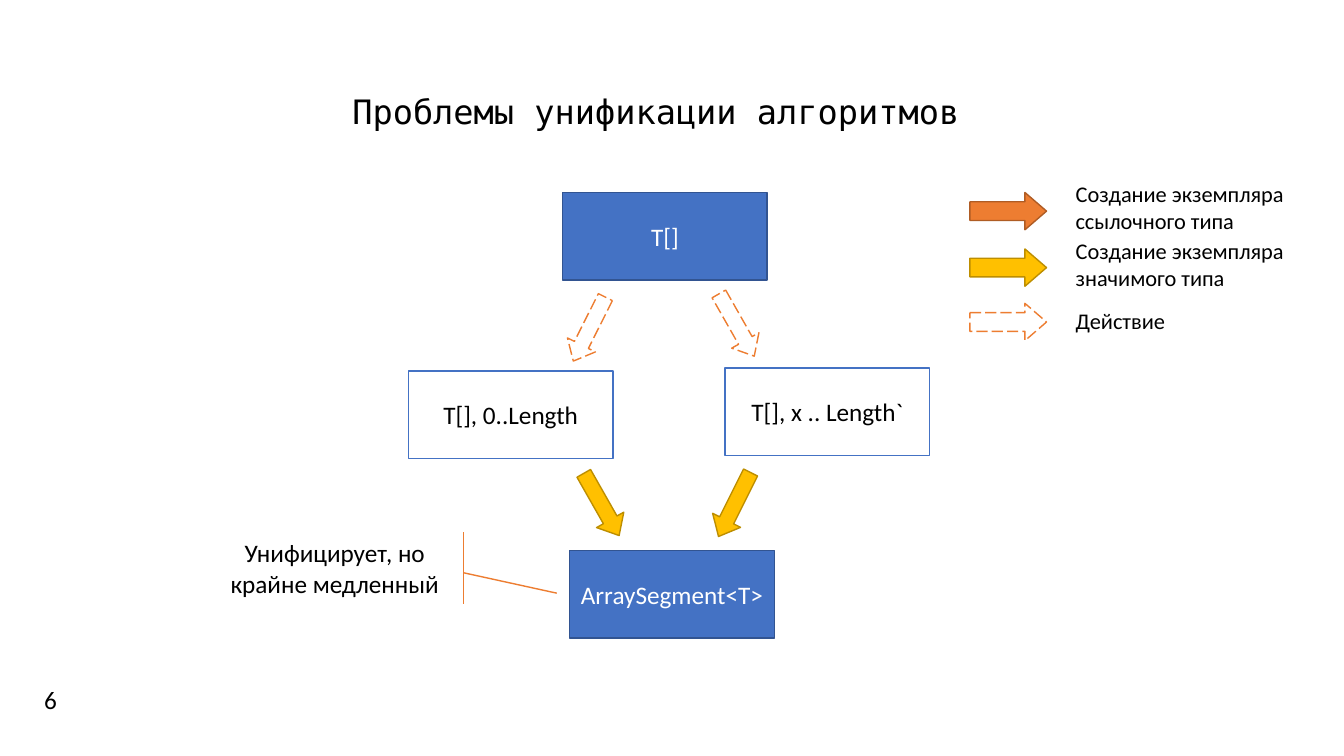
import pptx
import pptx.util
import pptx.dml.color
import pptx.enum.dml
import pptx.enum.shapes
import pptx.enum.text

Inches = pptx.util.Inches
Pt = pptx.util.Pt
Shape = pptx.enum.shapes.MSO_SHAPE
Align = pptx.enum.text.PP_ALIGN
Anchor = pptx.enum.text.MSO_ANCHOR

BLUE, DARK_BLUE = "4472C4", "325491"
ORANGE, DARK_ORANGE = "ED7D31", "AF5C24"
GOLD, DARK_GOLD = "FFC000", "BD8E00"
WHITE, BLACK = "FFFFFF", "000000"

deck = pptx.Presentation()
deck.slide_width, deck.slide_height = Inches(13.33), Inches(7.5)
page = deck.slides.add_slide(deck.slide_layouts[5])


def write(box, text, size, color=BLACK, align=Align.LEFT, anchor=Anchor.TOP, font="Calibri"):
    frame = box.text_frame
    frame.text = text
    frame.word_wrap = True
    frame.auto_size = pptx.enum.text.MSO_AUTO_SIZE.NONE
    frame.vertical_anchor = anchor
    para = frame.paragraphs[0]
    para.alignment = align
    span = para.runs[0]
    span.font.name, span.font.size = font, Pt(size)
    span.font.color.rgb = pptx.dml.color.RGBColor.from_string(color)


def draw(kind, left, top, width, height, fill, line, dashed=False):
    shape = page.shapes.add_shape(kind, Inches(left), Inches(top), Inches(width), Inches(height))
    shape.shadow.inherit = False
    shape.fill.solid()
    shape.fill.fore_color.rgb = pptx.dml.color.RGBColor.from_string(fill)
    shape.line.color.rgb = pptx.dml.color.RGBColor.from_string(line)
    shape.line.width = Pt(1)
    if dashed:
        shape.line.dash_style = pptx.enum.dml.MSO_LINE.LONG_DASH
    if kind == Shape.RIGHT_ARROW:
        shape.adjustments[1] = 0.578
    return shape


# Title
title = page.shapes.title
title.left, title.top = Inches(3.1), Inches(0.85)
title.width, title.height = Inches(6.81), Inches(0.5)
write(title, "Проблемы унификации алгоритмов", 24, align=Align.CENTER, font="DejaVu Sans Mono")

# Page number
number = page.shapes.add_textbox(Inches(0.34), Inches(6.74), Inches(0.33), Inches(0.4))
write(number, "6", 18)
number.text_frame.word_wrap = False

# Type boxes
for text, left, top, fill, line, color in [
    ("T[]", 5.58, 1.91, BLUE, DARK_BLUE, WHITE),
    ("T[], 0..Length", 4.05, 3.68, WHITE, BLUE, BLACK),
    ("T[], x .. Length`", 7.19, 3.65, WHITE, BLUE, BLACK),
    ("ArraySegment<T>", 5.65, 5.46, BLUE, DARK_BLUE, WHITE),
]:
    type_box = draw(Shape.RECTANGLE, left, top, 2.03, 0.87, fill, line)
    write(type_box, text, 18, color, Align.CENTER, Anchor.MIDDLE)

# Arrows between the boxes
TO_LEFT, TO_RIGHT = 116.6, 60.4
for left, top, angle, fill, line, dashed in [
    (5.49, 3.11, TO_LEFT, WHITE, ORANGE, True),
    (6.95, 3.07, TO_RIGHT, WHITE, ORANGE, True),
    (6.93, 4.85, TO_LEFT, GOLD, DARK_GOLD, False),
    (5.61, 4.85, TO_RIGHT, GOLD, DARK_GOLD, False),
]:
    draw(Shape.RIGHT_ARROW, left, top, 0.71, 0.31, fill, line, dashed).rotation = angle

# Callout on the unified type
callout = draw(Shape.LINE_CALLOUT_1_ACCENT_BAR, 2.08, 5.28, 2.48, 0.71, WHITE, ORANGE)
for index, value in enumerate([0.566, 1.014, 0.852, 1.388]):
    callout.adjustments[index] = value
write(callout, "Унифицирует, но крайне медленный", 18, BLACK, Align.CENTER, Anchor.MIDDLE)

# Legend
for text, arrow_top, text_top, height, fill, line, dashed in [
    ("Создание экземпляра ссылочного типа", 1.91, 1.74, 0.64, ORANGE, DARK_ORANGE, False),
    ("Создание экземпляра значимого типа", 2.47, 2.3, 0.64, GOLD, DARK_GOLD, False),
    ("Действие", 3.01, 3, 0.37, WHITE, ORANGE, True),
]:
    draw(Shape.RIGHT_ARROW, 9.62, arrow_top, 0.76, 0.37, fill, line, dashed)
    label = page.shapes.add_textbox(Inches(10.57), Inches(text_top), Inches(2.58), Inches(height))
    write(label, text, 16)

deck.save("out.pptx")
